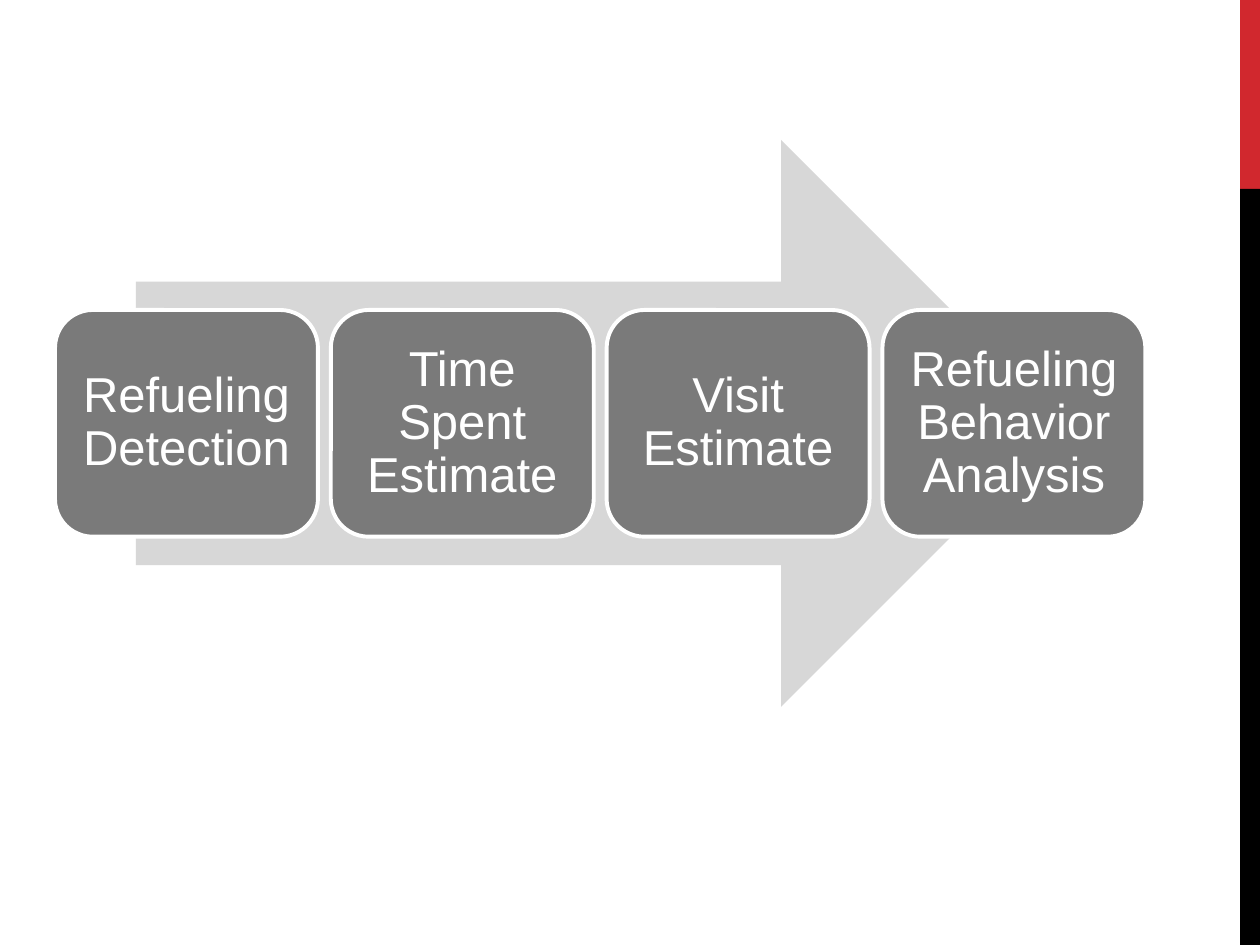
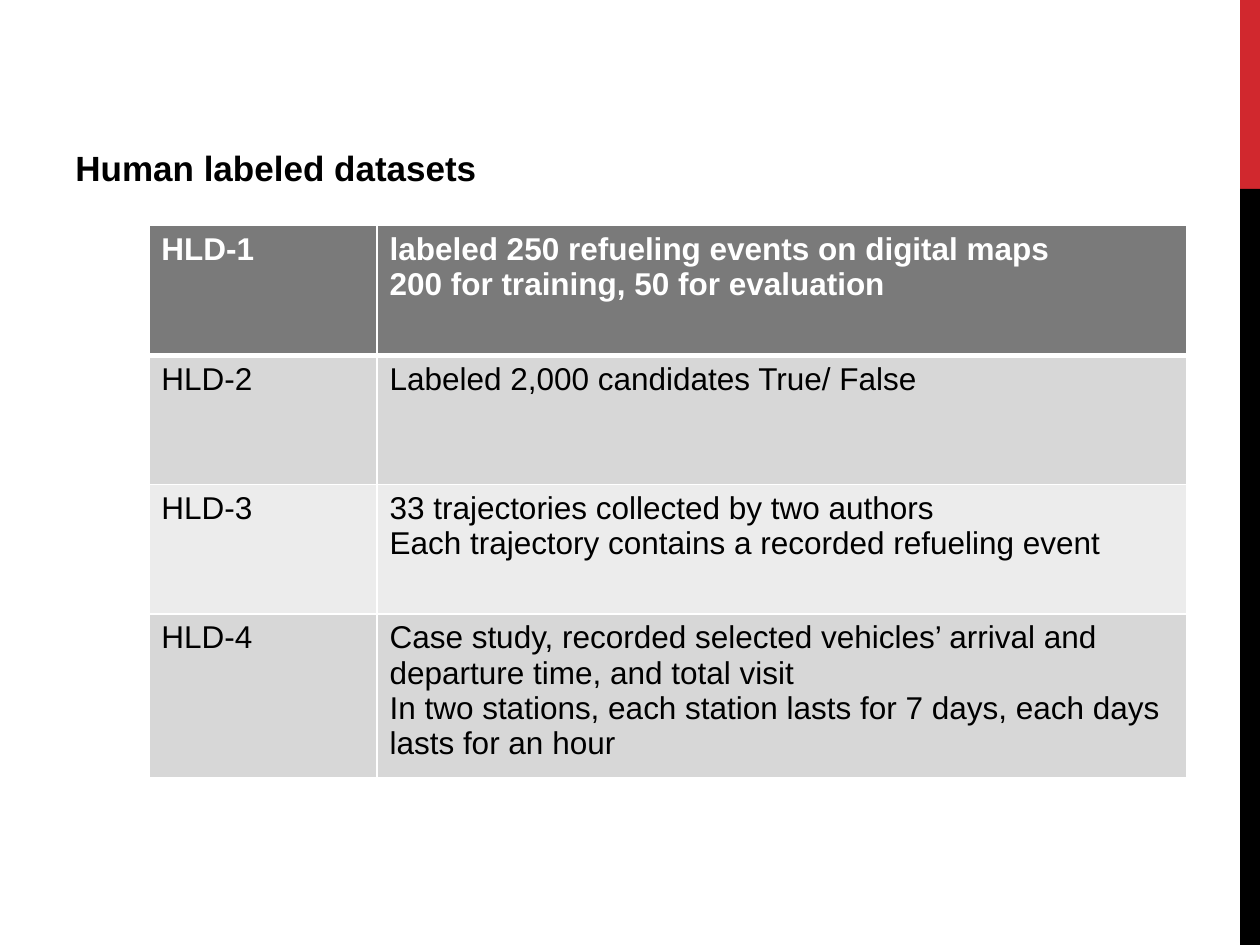
"""Build two slides: the refueling analysis pipeline and the human labeled datasets."""
import lxml.etree
import pptx
import pptx.dml.color
import pptx.enum.shapes
import pptx.enum.text
import pptx.oxml.ns
import pptx.util

Cm = pptx.util.Cm
Pt = pptx.util.Pt
SHAPES = pptx.enum.shapes.MSO_SHAPE
COLORS = {
    "red": "D1282E",
    "black": "000000",
    "white": "FFFFFF",
    "dark": "7A7A7A",
    "light": "D7D7D7",
    "pale": "ECECEC",
}
STEP_FRAME = {
    "word_wrap": True,
    "vertical_anchor": pptx.enum.text.MSO_ANCHOR.MIDDLE,
    "margin_left": Cm(0.3),
    "margin_right": Cm(0.3),
    "margin_top": Cm(0.3),
    "margin_bottom": Cm(0.3),
}
STEP_PARAGRAPH = {"alignment": pptx.enum.text.PP_ALIGN.CENTER, "line_spacing": 0.9}
STEP_FONT = {"name": "Arial", "size": Pt(28)}
HEADING_FONT = {"name": "Arial", "size": Pt(20), "bold": True}
CELL_FONT = {"name": "Arial", "size": Pt(18)}


def apply_format(target, values, color=None):
    """Set the attributes in values on target, and its colour if one is named."""
    for name, value in values.items():
        setattr(target, name, value)
    if color:
        target.color.rgb = pptx.dml.color.RGBColor.from_string(COLORS[color])


def add_block(slide, kind, box, color):
    """Add a flat filled shape without outline; box is given in centimetres."""
    shape = slide.shapes.add_shape(kind, *map(Cm, box))
    shape.shadow.inherit = False
    shape.fill.solid()
    shape.fill.fore_color.rgb = pptx.dml.color.RGBColor.from_string(COLORS[color])
    shape.line.fill.background()
    return shape


presentation = pptx.Presentation()
presentation.slide_width = Cm(25.4)
presentation.slide_height = Cm(19.05)
blank_layout = presentation.slide_layouts[6]
pipeline_slide = presentation.slides.add_slide(blank_layout)
datasets_slide = presentation.slides.add_slide(blank_layout)

for slide in presentation.slides:
    add_block(slide, SHAPES.RECTANGLE, (25, 0, 0.4, 3.81), "red")
    add_block(slide, SHAPES.RECTANGLE, (25, 3.81, 0.4, 15.24), "black")

add_block(pipeline_slide, SHAPES.RIGHT_ARROW, (2.74, 2.82, 18.72, 11.43), "light")

steps = [
    "Refueling Detection",
    "Time Spent Estimate",
    "Visit Estimate",
    "Refueling Behavior Analysis",
]
step_left, step_pitch = 1.11, 5.56
for index, step in enumerate(steps):
    box = (step_left + index * step_pitch, 6.25, 5.3, 4.57)
    shape = add_block(pipeline_slide, SHAPES.ROUNDED_RECTANGLE, box, "dark")
    apply_format(shape.line, {"width": Pt(2.25)}, "white")
    apply_format(shape.text_frame, STEP_FRAME)
    paragraph = shape.text_frame.paragraphs[0]
    paragraph.text = step
    apply_format(paragraph, STEP_PARAGRAPH)
    apply_format(paragraph.font, STEP_FONT, "white")

heading = datasets_slide.shapes.add_textbox(Cm(1.27), Cm(2.82), Cm(21.16), Cm(1.3))
heading.text_frame.word_wrap = True
paragraph = heading.text_frame.paragraphs[0]
paragraph.text = "Human labeled datasets"
apply_format(paragraph.font, HEADING_FONT, "black")

datasets = [
    ("HLD-1", "labeled 250 refueling events on digital maps\n"
              "200 for training, 50 for evaluation"),
    ("HLD-2", "Labeled 2,000 candidates True/ False"),
    ("HLD-3", "33 trajectories collected by two authors\n"
              "Each trajectory contains a recorded refueling event"),
    ("HLD-4", "Case study, recorded selected vehicles’ arrival and departure time, "
              "and total visit\n"
              "In two stations, each station lasts for 7 days, each days lasts for an hour"),
]
row_fills = ["dark", "light", "pale", "light"]
column_widths = [4.6, 16.33]
row_height = 2.61
table = datasets_slide.shapes.add_table(
    len(datasets), len(column_widths), Cm(3), Cm(4.55),
    Cm(sum(column_widths)), Cm(row_height * len(datasets)),
).table
for column, width in zip(table.columns, column_widths):
    column.width = Cm(width)

for row_index, dataset in enumerate(datasets):
    table.rows[row_index].height = Cm(row_height)
    is_header = row_index == 0
    for column_index, text in enumerate(dataset):
        cell = table.cell(row_index, column_index)
        cell.text = text
        for paragraph in cell.text_frame.paragraphs:
            apply_format(paragraph.font, CELL_FONT, "white" if is_header else "black")
            paragraph.font.bold = is_header
        properties = cell._tc.get_or_add_tcPr()
        for side in "LRTB":
            under_header = (row_index, side) in [(0, "B"), (1, "T")]
            border = lxml.etree.SubElement(properties, pptx.oxml.ns.qn("a:ln" + side))
            border.set("w", str(Pt(3 if under_header else 1)))
            solid = lxml.etree.SubElement(border, pptx.oxml.ns.qn("a:solidFill"))
            color = lxml.etree.SubElement(solid, pptx.oxml.ns.qn("a:srgbClr"))
            color.set("val", COLORS["white"])
        cell.fill.solid()
        cell.fill.fore_color.rgb = pptx.dml.color.RGBColor.from_string(
            COLORS[row_fills[row_index]])

presentation.save("out.pptx")
